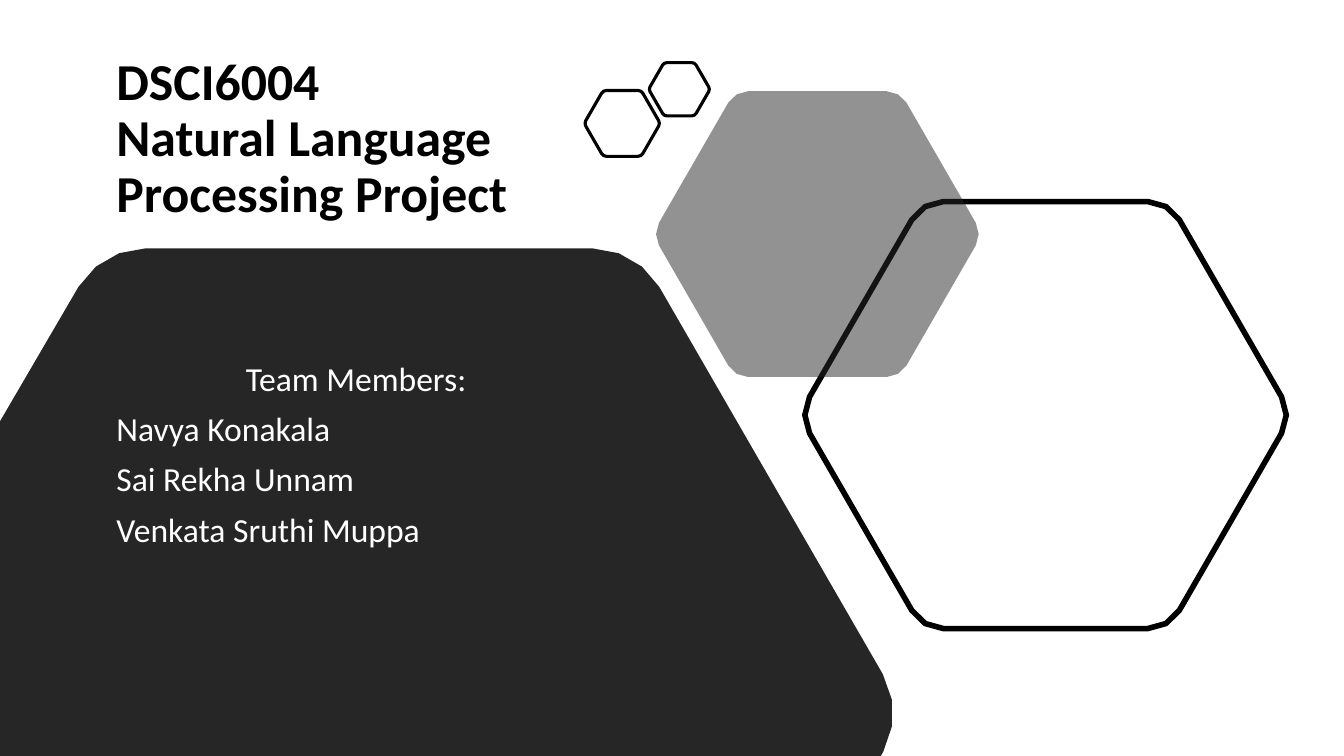
from dataclasses import dataclass
from math import cos, hypot, pi, sin, sqrt
from typing import Optional

from lxml import etree
from pptx import Presentation
from pptx.dml.color import RGBColor
from pptx.enum.text import MSO_ANCHOR, MSO_AUTO_SIZE, PP_ALIGN
from pptx.oxml.ns import qn
from pptx.util import Cm, Pt

LEFT = PP_ALIGN.LEFT
TOP, MIDDLE = MSO_ANCHOR.TOP, MSO_ANCHOR.MIDDLE
NO_FIT = MSO_AUTO_SIZE.NONE
COLORS = {"ink": "000000", "dark": "262626", "light": "FFFFFF"}
FONT = "Calibri"
WIDTH, HEIGHT = 33.87, 19.05
CONTROL = 0.6

Point = tuple[float, float]
Corner = tuple[Point, float]


@dataclass
class Hexagon:
    cx: float
    cy: float
    apothem: float
    cut: float
    line_pt: float = 0
    fill: Optional[str] = None
    opacity: int = 100
    steps: int = 2

    def corners(self) -> list[Corner]:
        side = self.apothem * 2 / sqrt(3)
        return [((self.cx + side * cos(i * pi / 3),
                  self.cy + side * sin(i * pi / 3)), self.cut) for i in range(6)]


def toward(start: Point, end: Point, distance: float) -> Point:
    t = distance / hypot(end[0] - start[0], end[1] - start[1])
    return (start[0] + (end[0] - start[0]) * t, start[1] + (end[1] - start[1]) * t)


def bezier(a: Point, b: Point, c: Point, d: Point, t: float) -> Point:
    u = 1 - t
    weights = (u**3, 3 * u * u * t, 3 * u * t * t, t**3)
    return (sum(w * q[0] for w, q in zip(weights, (a, b, c, d))),
            sum(w * q[1] for w, q in zip(weights, (a, b, c, d))))


def rounded(corners: list[Corner], steps: int) -> list[Point]:
    points = []
    for i, (vertex, cut) in enumerate(corners):
        if not cut:
            points.append(vertex)
            continue
        before = corners[i - 1][0]
        after = corners[(i + 1) % len(corners)][0]
        inner = cut * (1 - CONTROL)
        curve = (toward(vertex, before, cut), toward(vertex, before, inner),
                 toward(vertex, after, inner), toward(vertex, after, cut))
        points += [bezier(*curve, k / steps) for k in range(steps + 1)]
    return points


def draw(shapes, corners: list[Corner], style: Hexagon) -> None:
    points = [(Cm(x), Cm(y)) for x, y in rounded(corners, style.steps)]
    builder = shapes.build_freeform(*points[0])
    builder.add_line_segments(points[1:], close=True)
    sp = builder.convert_to_shape()
    sp.shadow.inherit = False
    if style.fill:
        sp.fill.solid()
        sp.fill.fore_color.rgb = RGBColor.from_string(COLORS[style.fill])
        if style.opacity < 100:
            color = sp.element.spPr.find(qn("a:solidFill"))[0]
            etree.SubElement(color, qn("a:alpha"), val=str(style.opacity * 1000))
    else:
        sp.fill.background()
    if style.line_pt:
        sp.line.width = Pt(style.line_pt)
        sp.line.color.rgb = RGBColor.from_string(COLORS["ink"])
    else:
        sp.line.fill.background()


def set_text(sp, box: tuple, lines: list[str], size: float, color: str,
             bold: bool, anchor, before: float) -> None:
    sp.left, sp.top, sp.width, sp.height = (Cm(v) for v in box)
    tf = sp.text_frame
    tf.text = "\n".join(lines)
    tf.word_wrap = True
    tf.auto_size = NO_FIT
    tf.vertical_anchor = anchor
    for p in tf.paragraphs:
        p.alignment = LEFT
        p.line_spacing = 0.9
        p.space_before = Pt(before)
        p.font.name = FONT
        p.font.size = Pt(size)
        p.font.bold = bold
        p.font.color.rgb = RGBColor.from_string(COLORS[color])


prs = Presentation()
prs.slide_width, prs.slide_height = Cm(WIDTH), Cm(HEIGHT)
s = prs.slides.add_slide(prs.slide_layouts[0])
title, members = s.placeholders

panel = Hexagon(9.3, 17.96, 11.7, 1.12, fill="dark", steps=3)
right, _, _, _, upper_left, upper_right = panel.corners()
draw(s.shapes, [((0, HEIGHT), 0), ((0, 10.62), 0), upper_left, upper_right,
                right, ((22.2, HEIGHT), 0)], panel)

for hexagon in (Hexagon(26.35, 10.46, 5.38, 0.53, line_pt=4),
                Hexagon(20.6, 5.9, 3.6, 0.33, fill="dark", opacity=50)):
    draw(s.shapes, hexagon.corners(), hexagon)

pair = s.shapes.add_group_shape()
for hexagon in (Hexagon(15.68, 3.11, 0.83, 0.08, line_pt=2.25),
                Hexagon(17.12, 2.25, 0.67, 0.07, line_pt=2.25)):
    draw(pair.shapes, hexagon.corners(), hexagon)

set_text(title, (2.68, 1.24, 11.89, 4.57),
         ["DSCI6004\vNatural Language Processing Project"],
         37, "ink", True, MIDDLE, 0)
set_text(members, (2.68, 8.1, 13.18, 8.59),
         ["Team Members:", "Navya Konakala", "Sai Rekha Unnam", "Venkata Sruthi Muppa"],
         24, "light", False, TOP, 10)
members.text_frame.margin_top = Cm(1.03)
heading = members.text_frame.paragraphs[0]
heading._p.get_or_add_pPr().set("indent", str(Cm(3.26)))
members.element.getparent().append(members.element)

prs.save("out.pptx")
